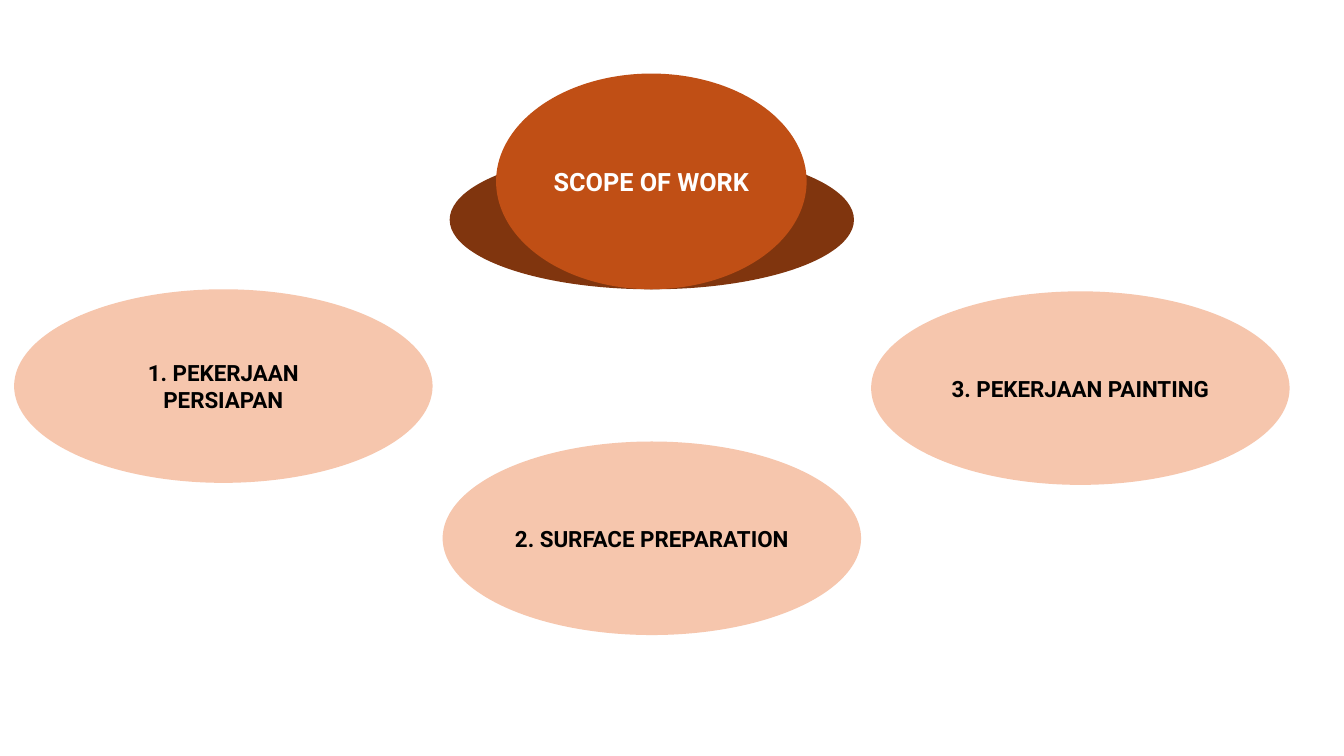
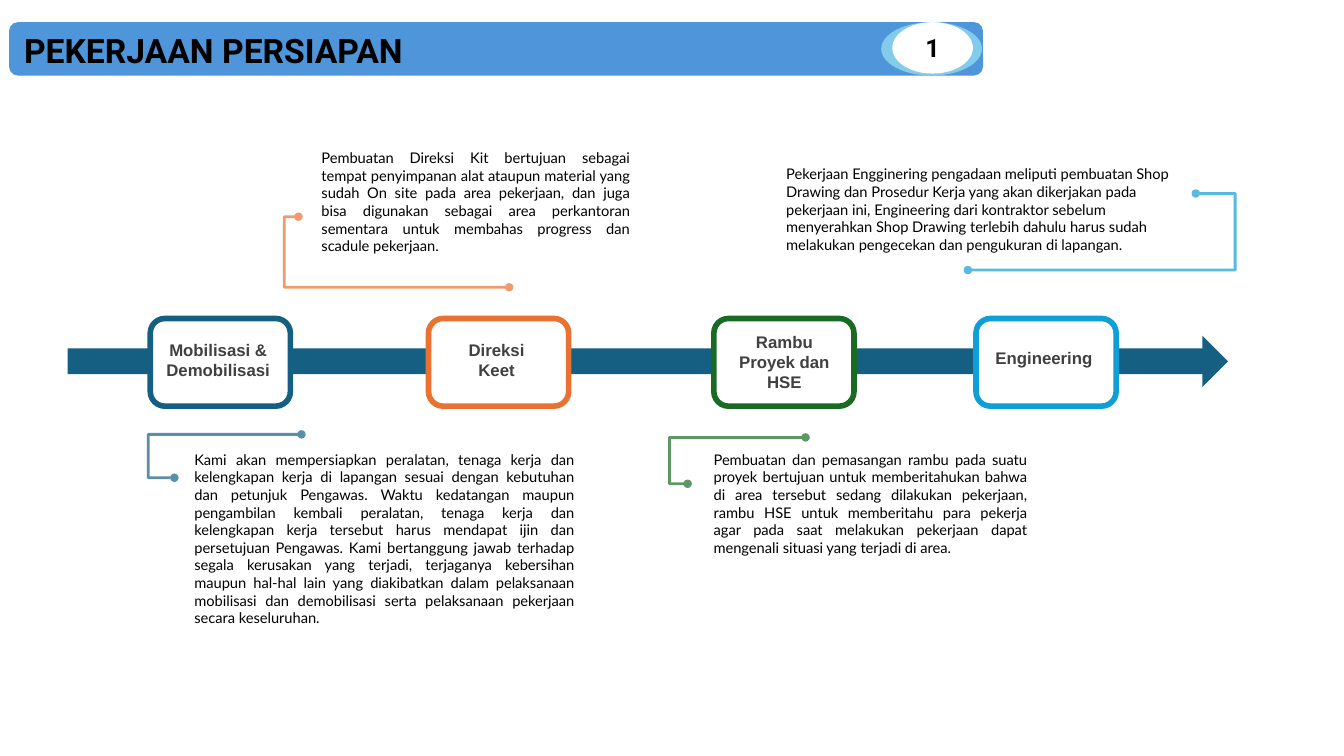
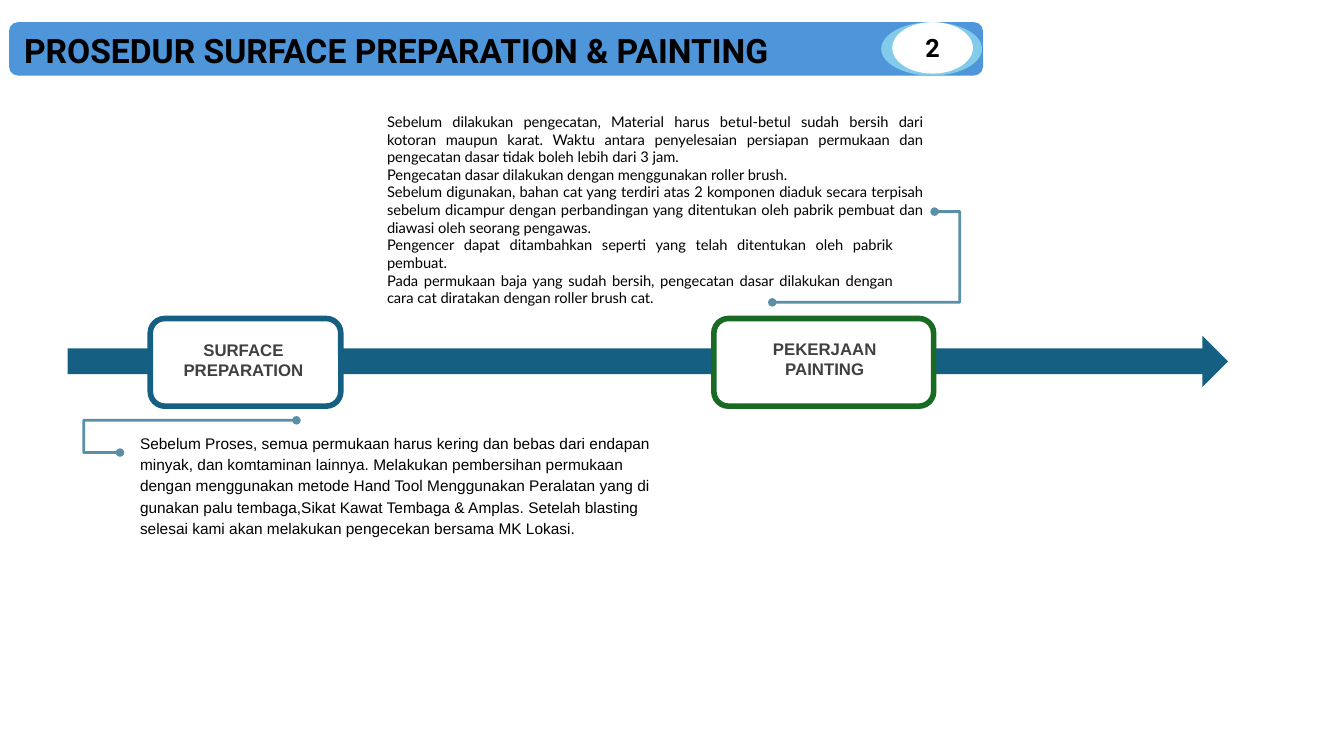
"""Build three slides on the scope, preparation and painting of a steel coating job."""
from lxml import etree
from pptx import Presentation
from pptx.dml.color import RGBColor
from pptx.enum import shapes, text
from pptx.oxml import ns
from pptx.util import Inches, Pt

WHITE = RGBColor(0xFF, 0xFF, 0xFF)
BLACK = RGBColor(0, 0, 0)
GRAY = RGBColor(0x40, 0x40, 0x40)
BROWN = RGBColor(0x80, 0x35, 0x0E)
RUST = RGBColor(0xC0, 0x4F, 0x15)
PEACH = RGBColor(0xF6, 0xC6, 0xAD)
BAND = RGBColor(0x4E, 0x95, 0xD9)
SKY = RGBColor(0x83, 0xCB, 0xEB)
TEAL = RGBColor(0x15, 0x60, 0x82)
ORANGE = RGBColor(0xE9, 0x71, 0x32)
GREEN = RGBColor(0x19, 0x6B, 0x24)
CYAN = RGBColor(0x0F, 0x9E, 0xD5)

SHAPE = shapes.MSO_SHAPE
ALIGN = text.PP_ALIGN

TITLE = dict(name="Roboto", size=Pt(24), bold=True, color=BLACK)
HUB = dict(name="Roboto", size=Pt(18), bold=True, color=WHITE)
BADGE = dict(HUB, color=BLACK)
TOPIC = dict(BADGE, size=Pt(16))
LABEL = dict(name="Arial", size=Pt(12), bold=True, color=GRAY)
BODY = dict(name="Lato", size=Pt(10.5), color=BLACK)
BODY_ARIAL = dict(name="Arial", size=Pt(11), color=BLACK)

TOPIC_SIZE = (4.15, 1.92)
TOPICS = [
    ("1. PEKERJAAN PERSIAPAN", 0.14, 2.87),
    ("2. SURFACE PREPARATION", 4.39, 4.38),
    ("3. PEKERJAAN PAINTING", 8.64, 2.89),
]

MILESTONE_TOP, MILESTONE_HEIGHT = 3.16, 0.87

PREPARATION = dict(
    title="PEKERJAAN PERSIAPAN",
    number="1",
    milestones=[
        (1.49, 1.39, TEAL, "Mobilisasi & Demobilisasi", (1.55, 3.32, 1.23, 0.5)),
        (4.25, 1.39, ORANGE, "Direksi Keet", (4.4, 3.32, 1.05, 0.5)),
        (7.08, 1.39, GREEN, "Rambu Proyek dan HSE", (7.13, 3.24, 1.3, 0.71)),
        (9.68, 1.39, CYAN, "Engineering", (9.69, 3.4, 1.33, 0.3)),
    ],
    callouts=[
        (TEAL, (1.73, 4.74), 1.47, (2.99, 4.31)),
        (ORANGE, (2.96, 2.15), 2.82, (5.05, 2.85)),
        (CYAN, (9.6, 2.68), 12.25, (11.86, 1.92)),
        (GREEN, (6.82, 4.8), 6.64, (7.99, 4.34)),
    ],
    notes=[
        ((1.83, 4.42, 3.97, 2.04), BODY, dict(alignment=ALIGN.JUSTIFY), [
            "Kami akan mempersiapkan peralatan, tenaga kerja dan kelengkapan kerja di lapangan "
            "sesuai dengan kebutuhan dan petunjuk Pengawas. Waktu kedatangan maupun pengambilan "
            "kembali peralatan, tenaga kerja dan kelengkapan kerja tersebut harus mendapat ijin "
            "dan persetujuan Pengawas. Kami bertanggung jawab terhadap segala kerusakan yang "
            "terjadi, terjaganya kebersihan maupun hal-hal lain yang diakibatkan dalam "
            "pelaksanaan mobilisasi dan demobilisasi serta pelaksanaan pekerjaan secara "
            "keseluruhan."]),
        ((3.09, 1.43, 3.26, 1.34), BODY, dict(alignment=ALIGN.JUSTIFY), [
            "Pembuatan Direksi Kit bertujuan sebagai tempat penyimpanan alat ataupun material "
            "yang sudah On site pada area pekerjaan, dan juga bisa digunakan sebagai area "
            "perkantoran sementara untuk membahas progress dan scadule pekerjaan."]),
        ((7.7, 1.59, 4.07, 1.36), BODY, {}, [
            "Pekerjaan Engginering pengadaan meliputi pembuatan Shop Drawing dan Prosedur Kerja "
            "yang akan dikerjakan pada pekerjaan ini, Engineering dari kontraktor sebelum "
            "menyerahkan Shop Drawing terlebih dahulu harus sudah melakukan pengecekan dan "
            "pengukuran di lapangan."]),
        ((6.98, 4.42, 3.31, 1.34), BODY, dict(alignment=ALIGN.JUSTIFY), [
            "Pembuatan dan pemasangan rambu pada suatu proyek bertujuan untuk memberitahukan "
            "bahwa di area tersebut sedang dilakukan pekerjaan, rambu HSE untuk memberitahu para "
            "pekerja agar pada saat melakukan pekerjaan dapat mengenali situasi yang terjadi di "
            "area."]),
    ],
)

NARROW_LINE = "Pengencer dapat ditambahkan seperti yang telah ditentukan oleh pabrik pembuat."

PAINTING = dict(
    title="PROSEDUR SURFACE PREPARATION & PAINTING",
    number="2",
    milestones=[
        (1.49, 1.89, TEAL, "SURFACE PREPARATION", (1.58, 3.32, 1.67, 0.71)),
        (7.08, 2.18, GREEN, "PEKERJAAN PAINTING", (7.16, 3.31, 2.04, 0.5)),
    ],
    callouts=[
        (TEAL, (1.19, 4.49), 0.83, (2.94, 4.17)),
        (TEAL, (7.66, 3), 9.52, (9.27, 2.1)),
    ],
    notes=[
        ((1.29, 4.23, 5.52, 1.15), BODY_ARIAL, dict(line_spacing=1.15), [
            "Sebelum Proses, semua permukaan harus kering dan bebas dari endapan minyak, dan "
            "komtaminan lainnya. Melakukan pembersihan permukaan dengan menggunakan metode Hand "
            "Tool Menggunakan Peralatan yang di gunakan palu tembaga,Sikat Kawat Tembaga & "
            "Amplas. Setelah blasting selesai kami akan melakukan pengecekan bersama MK Lokasi."]),
        ((3.74, 1.07, 5.52, 2.04), BODY, dict(alignment=ALIGN.JUSTIFY), [
            "Sebelum dilakukan pengecatan, Material harus betul-betul sudah bersih dari kotoran "
            "maupun karat. Waktu antara penyelesaian persiapan permukaan dan pengecatan dasar "
            "tidak boleh lebih dari 3 jam.",
            "Pengecatan dasar dilakukan dengan menggunakan roller brush.",
            "Sebelum digunakan, bahan cat yang terdiri atas 2 komponen diaduk secara terpisah "
            "sebelum dicampur dengan perbandingan yang ditentukan oleh pabrik pembuat dan "
            "diawasi oleh seorang pengawas.",
            NARROW_LINE,
            "Pada permukaan baja yang sudah bersih, pengecatan dasar dilakukan dengan cara cat "
            "diratakan dengan roller brush cat."]),
    ],
)


def write(frame, lines, style, layout):
    """Fill a text frame with one paragraph per line."""
    frame.word_wrap = True
    for index, line in enumerate(lines):
        para = frame.add_paragraph() if index else frame.paragraphs[0]
        for key, value in layout.items():
            setattr(para, key, value)
        if line == NARROW_LINE:
            para._p.get_or_add_pPr().set("marR", str(Inches(0.3)))
        span = para.add_run()
        span.text = line
        for key, value in style.items():
            if key == "color":
                span.font.color.rgb = value
            else:
                setattr(span.font, key, value)


def add_text(page, place, lines, style, layout):
    """Add a wrapped text box."""
    box = page.shapes.add_textbox(*map(Inches, place))
    write(box.text_frame, lines, style, layout)


def add_shape(page, kind, place, fill, outline=None, label=None, style=None):
    """Add a flat preset shape with an optional outline and centred label."""
    shape = page.shapes.add_shape(kind, *map(Inches, place))
    shape.shadow.inherit = False
    shape.fill.solid()
    shape.fill.fore_color.rgb = fill
    if outline:
        shape.line.color.rgb = outline
        shape.line.width = Pt(4)
    else:
        shape.line.fill.background()
    if label:
        shape.text_frame.vertical_anchor = text.MSO_ANCHOR.MIDDLE
        write(shape.text_frame, [label], style, dict(alignment=ALIGN.CENTER))


def add_callout(page, color, start, bend, end):
    """Add a dotted-end elbow line whose middle leg stands at bend."""
    link = page.shapes.add_connector(shapes.MSO_CONNECTOR.ELBOW, *map(Inches, start + end))
    link.line.width = Pt(2)
    link.line.color.rgb = color
    properties = link._element.spPr
    ratio = (bend - start[0]) / (end[0] - start[0])
    guides = properties.find(".//" + ns.qn("a:avLst"))
    if guides is None:
        guides = etree.SubElement(properties.find(ns.qn("a:prstGeom")), ns.qn("a:avLst"))
    etree.SubElement(guides, ns.qn("a:gd"), name="adj1", fmla=f"val {round(ratio * 100000)}")
    outline = properties.find(ns.qn("a:ln"))
    paint = outline.find(".//" + ns.qn("a:srgbClr"))
    etree.SubElement(paint, ns.qn("a:alpha"), val="70000")
    for tip in ("a:headEnd", "a:tailEnd"):
        etree.SubElement(outline, ns.qn(tip), type="oval")
    etree.SubElement(properties, ns.qn("a:effectLst"))


def add_scope(page):
    """Draw the hub and its three topics."""
    add_shape(page, SHAPE.OVAL, (4.46, 1.49, 4.01, 1.38), BROWN)
    add_shape(page, SHAPE.OVAL, (4.92, 0.73, 3.08, 2.14), RUST, label="SCOPE OF WORK", style=HUB)
    for label, left, top in TOPICS:
        add_shape(page, SHAPE.OVAL, (left, top) + TOPIC_SIZE, PEACH, label=label, style=TOPIC)


def add_header(page, title, number):
    """Draw the title band with its numbered badge."""
    add_shape(page, SHAPE.ROUNDED_RECTANGLE, (0.09, 0.22, 9.66, 0.53), BAND)
    add_shape(page, SHAPE.OVAL, (8.74, 0.22, 1, 0.53), SKY)
    add_shape(page, SHAPE.OVAL, (8.85, 0.22, 0.8, 0.51), WHITE, label=number, style=BADGE)
    add_text(page, (0.14, 0.25, 8.66, 0.5), [title], TITLE, {})


def add_timeline(page, content):
    """Draw a header, the arrow, its milestones and their notes."""
    add_header(page, content["title"], content["number"])
    add_shape(page, SHAPE.RIGHT_ARROW, (0.67, 3.33, 11.51, 0.51), TEAL)
    for left, width, color, label, label_place in content["milestones"]:
        place = (left, MILESTONE_TOP, width, MILESTONE_HEIGHT)
        add_shape(page, SHAPE.ROUNDED_RECTANGLE, place, WHITE, color)
        add_text(page, label_place, [label], LABEL, dict(alignment=ALIGN.CENTER))
    for callout in content["callouts"]:
        add_callout(page, *callout)
    for note in content["notes"]:
        place, style, layout, lines = note
        add_text(page, place, lines, style, layout)


def main():
    """Build and save the deck."""
    deck = Presentation()
    deck.slide_width, deck.slide_height = Inches(13.33), Inches(7.5)
    blank = deck.slide_layouts[6]
    add_scope(deck.slides.add_slide(blank))
    for content in (PREPARATION, PAINTING):
        add_timeline(deck.slides.add_slide(blank), content)
    deck.save("out.pptx")


if __name__ == "__main__":
    main()
